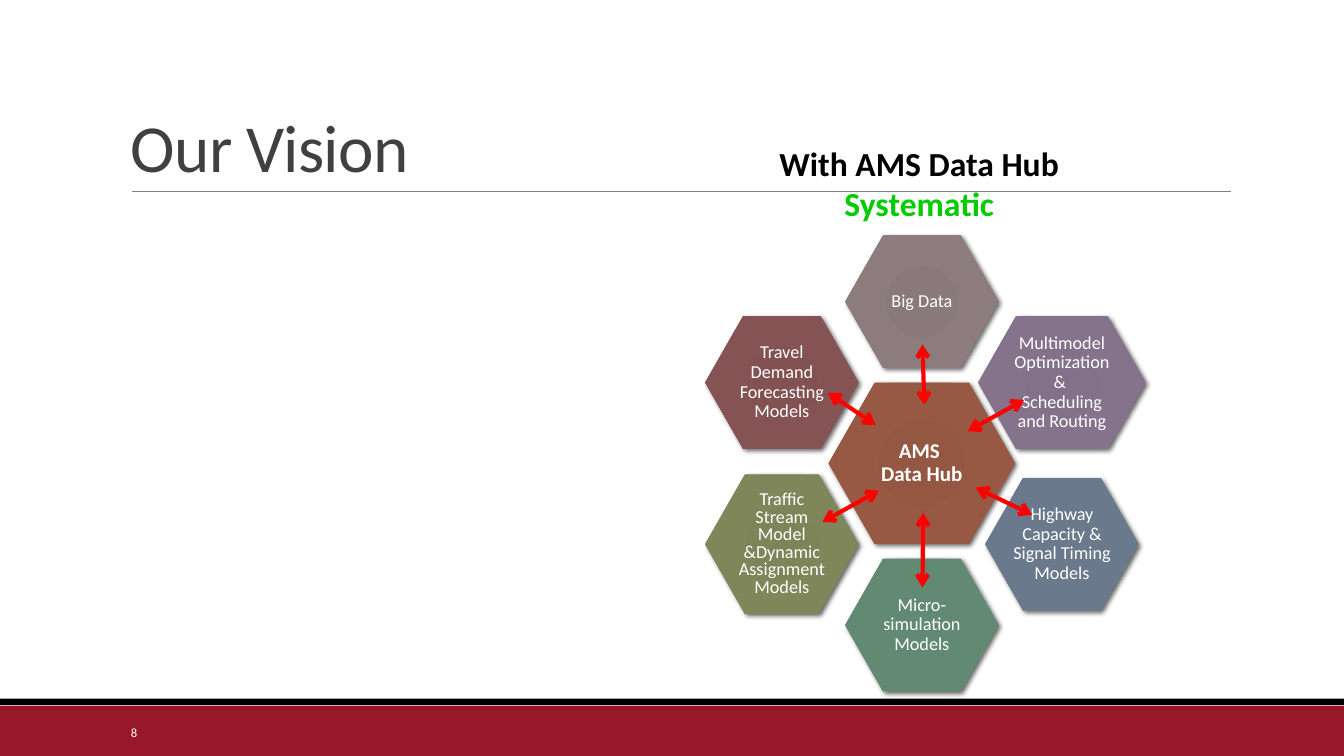
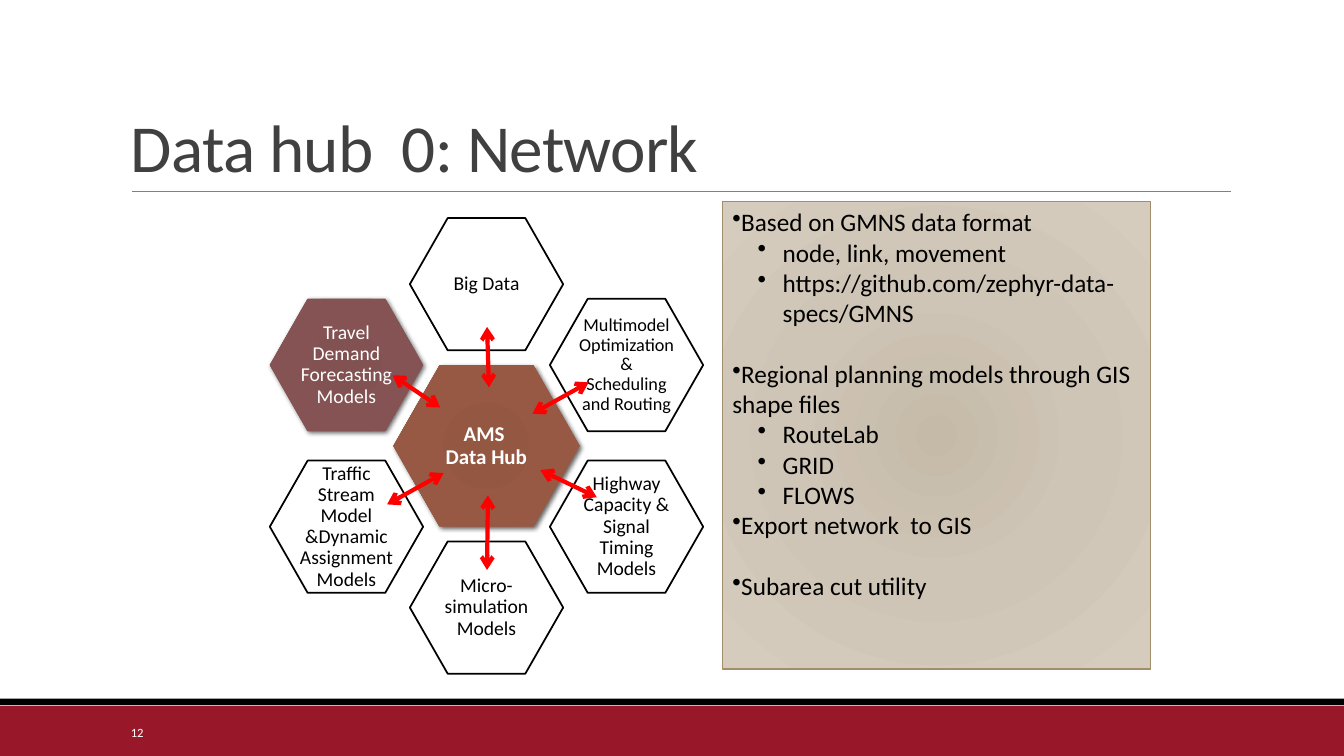
"""Build two slides about a data hub and its ring of models."""
import math

import lxml.etree
import pptx
import pptx.dml.color
import pptx.enum.shapes
import pptx.enum.text
import pptx.oxml
import pptx.oxml.ns
import pptx.util

Pt = pptx.util.Pt
RGB = pptx.dml.color.RGBColor
SHAPE = pptx.enum.shapes.MSO_SHAPE
ALIGN = pptx.enum.text.PP_ALIGN
ANCHOR = pptx.enum.text.MSO_ANCHOR
qn = pptx.oxml.ns.qn

FONT = "Calibri"
BLACK = RGB(0x00, 0x00, 0x00)
WHITE = RGB(0xFF, 0xFF, 0xFF)
CRIMSON = RGB(0x98, 0x18, 0x2A)
GRAY = RGB(0x80, 0x80, 0x80)
DARK = RGB(0x40, 0x40, 0x40)
RED = RGB(0xFF, 0x00, 0x00)
GREEN = RGB(0x00, 0xCC, 0x00)
TAN = RGB(0xA2, 0x8E, 0x6A)
SAND = [(0, RGB(0xC5, 0xBA, 0xA8)), (45, RGB(0xCF, 0xC5, 0xB6)), (100, RGB(0xD6, 0xCC, 0xBD))]
RUST = [(0, RGB(0x94, 0x57, 0x42)), (70, RGB(0x98, 0x59, 0x44)), (100, RGB(0x98, 0x60, 0x4E))]
STONE = [(0, RGB(0x89, 0x79, 0x7A)), (70, RGB(0x8C, 0x7C, 0x7D)), (100, RGB(0x92, 0x83, 0x84))]
PLUM = [(0, RGB(0x82, 0x71, 0x88)), (70, RGB(0x85, 0x73, 0x8C)), (100, RGB(0x8B, 0x7B, 0x90))]
SLATE = [(0, RGB(0x68, 0x76, 0x88)), (70, RGB(0x6A, 0x79, 0x8B)), (100, RGB(0x72, 0x7F, 0x8F))]
FERN = [(0, RGB(0x60, 0x86, 0x6E)), (70, RGB(0x62, 0x89, 0x71)), (100, RGB(0x6A, 0x8D, 0x77))]
OLIVE = [(0, RGB(0x7C, 0x84, 0x58)), (70, RGB(0x7F, 0x87, 0x5A)), (100, RGB(0x83, 0x8A, 0x62))]
WINE = [(0, RGB(0x82, 0x51, 0x51)), (70, RGB(0x85, 0x53, 0x53)), (100, RGB(0x87, 0x5B, 0x5B))]

BIG = "Big Data"
HIGHWAY = "Highway Capacity & Signal Timing Models"
MICRO = "Micro-simulation Models"
TRAFFIC = "Traffic Stream Model &Dynamic Assignment Models"
TRAVEL = "Travel Demand Forecasting Models"

RING = 115.5
HUB = (133, 115)
CELL = (109.5, 94.5)
ARROWS = [
    (-33, -27.4, -67, -50.4),
    (1.8, -41.8, 0.4, -85),
    (-30.6, 19.4, -71, 41.8),
    (1, 35.3, 0.4, 88.6),
    (73, -45.4, 32.8, -23),
    (78.8, 36.7, 38.5, 17.3),
]

VISION = [
    (BIG, STONE, CELL, 13, 0.9),
    ("Multimodel Optimization\n& \nScheduling and Routing", PLUM, (119.5, 94.5), 13, 0.9),
    (HIGHWAY, SLATE, CELL, 13, 0.9),
    (MICRO, FERN, CELL, 13, 0.9),
    (TRAFFIC, OLIVE, (109.5, 99.5), 13, 0.8),
    (TRAVEL, WINE, CELL, 13, 0.9),
]
NETWORK = [
    (BIG, None, CELL, 14, 0.9),
    ("Multimodel Optimization&\nScheduling and Routing", None, CELL, 13, 0.9),
    (HIGHWAY, None, CELL, 14, 0.9),
    (MICRO, None, CELL, 14, 0.9),
    (TRAFFIC, None, CELL, 14, 0.9),
    (TRAVEL, WINE, CELL, 14, 0.9),
]
NOTES = [
    (0, 0, "Based on GMNS data format"),
    (1, 0, "node, link, movement"),
    (1, 0, "https://github.com/zephyr-data-specs/GMNS"),
    (0, 22, "Regional planning models through GIS shape files"),
    (1, 0, "RouteLab"),
    (1, 0, "GRID"),
    (1, 0, "FLOWS"),
    (0, 0, "Export network  to GIS"),
    (0, 22, "Subarea cut utility"),
]


def style(para, size, color, bold=False):
    """Format every run of a paragraph."""
    for run in para.runs:
        run.font.name = FONT
        run.font.size = Pt(size)
        run.font.bold = bold
        run.font.color.rgb = color


def add_form(slide, kind, box, fill):
    """Add a plain shape with a solid fill and no outline."""
    form = slide.shapes.add_shape(kind, *map(Pt, box))
    form.shadow.inherit = False
    form.fill.solid()
    form.fill.fore_color.rgb = fill
    form.line.fill.background()
    return form


def add_text(slide, box, text, size, color, anchor=ANCHOR.TOP):
    """Add a wrapped text box and return its frame."""
    frame = slide.shapes.add_textbox(*map(Pt, box)).text_frame
    frame.word_wrap = True
    frame.vertical_anchor = anchor
    frame.text = text
    style(frame.paragraphs[0], size, color)
    return frame


def blend(form, stops):
    """Replace a solid fill by a round gradient."""
    tint = "".join(
        f'<a:gs pos="{spot * 1000}"><a:srgbClr val="{color}"/></a:gs>' for spot, color in stops
    )
    grad = pptx.oxml.parse_xml(
        f'<a:gradFill {pptx.oxml.ns.nsdecls("a")} rotWithShape="1"><a:gsLst>{tint}</a:gsLst>'
        '<a:path path="circle"><a:fillToRect l="100000" t="100000" r="100000" b="100000"/>'
        "</a:path></a:gradFill>"
    )
    props = form.element.spPr
    props.replace(props.find(qn("a:solidFill")), grad)


def shade(form):
    """Give a shape a soft shadow to the lower right."""
    holder = form.element.spPr.find(qn("a:effectLst"))
    holder.append(pptx.oxml.parse_xml(
        f'<a:outerShdw {pptx.oxml.ns.nsdecls("a")} blurRad="44450" dist="25400" dir="2700000">'
        '<a:srgbClr val="000000"><a:alpha val="60000"/></a:srgbClr></a:outerShdw>'
    ))


def add_line(slide, ends, color, width):
    """Add a straight line without a shadow."""
    line = slide.shapes.add_connector(pptx.enum.shapes.MSO_CONNECTOR.STRAIGHT, *map(Pt, ends))
    line.line.color.rgb = color
    line.line.width = Pt(width)
    lxml.etree.SubElement(line.element.spPr, qn("a:effectLst"))
    return line


def add_arrow(slide, ends):
    """Add a red arrow with two heads."""
    line = add_line(slide, ends, RED, 3)
    stroke = line.element.spPr.find(qn("a:ln"))
    for tag in ("a:headEnd", "a:tailEnd"):
        lxml.etree.SubElement(stroke, qn(tag), type="arrow")


def add_cell(slide, mid, text, stops, area, size, gap, bold=False):
    """Add a hexagon with its label, centred on a point."""
    wide, high = area
    box = (mid[0] - wide / 2, mid[1] - high / 2, wide, high)
    cell = add_form(slide, SHAPE.HEXAGON, box, WHITE)
    cell.adjustments[0] = 0.286
    if stops:
        blend(cell, stops)
        shade(cell)
    else:
        cell.line.color.rgb = BLACK
        cell.line.width = Pt(1.25)
    frame = cell.text_frame
    frame.word_wrap = True
    frame.vertical_anchor = ANCHOR.MIDDLE
    frame.margin_left = frame.margin_right = Pt(1.5)
    frame.margin_top = frame.margin_bottom = Pt(1.5)
    frame.text = text
    for para in frame.paragraphs:
        para.alignment = ALIGN.CENTER
        para.line_spacing = gap
        style(para, size, WHITE if stops else BLACK, bold)


def add_hub(slide, box, cells):
    """Add the hub, its ring of cells and the arrows between them."""
    left, top, wide, high = box
    x, y = left + wide / 2, top + high / 2
    add_cell(slide, (x, y), "AMS \vData Hub", RUST, HUB, 15, 0.9, True)
    for step, cell in enumerate(cells):
        turn = math.radians(60 * step)
        add_cell(slide, (x + RING * math.sin(turn), y - RING * math.cos(turn)), *cell)
    for x1, y1, x2, y2 in ARROWS:
        add_arrow(slide, (x + x1, y + y1, x + x2, y + y2))


def add_notes(slide, box):
    """Add the sand panel with its bulleted notes."""
    panel = add_form(slide, SHAPE.RECTANGLE, box, WHITE)
    blend(panel, SAND)
    panel.line.color.rgb = TAN
    panel.line.width = Pt(1)
    frame = panel.text_frame
    frame.word_wrap = True
    frame.vertical_anchor = ANCHOR.TOP
    frame.text = "\n".join(text for level, gap, text in NOTES)
    for para, (level, gap, text) in zip(frame.paragraphs, NOTES):
        para.alignment = ALIGN.LEFT
        para.level = level
        if gap:
            para.space_before = Pt(gap)
        props = para._p.get_or_add_pPr()
        props.set("marL", str(Pt(36 * level)))
        props.set("indent", str(Pt(-18 * level)))
        lxml.etree.SubElement(props, qn("a:buChar"), char="•")
        style(para, 18, BLACK)


def add_head(slide, box):
    """Add the two-line heading above the hub."""
    frame = add_text(slide, box, "With AMS Data Hub\v", 24, BLACK)
    frame.margin_left = frame.margin_right = 0
    frame.margin_top = frame.margin_bottom = 0
    para = frame.paragraphs[0]
    para.alignment = ALIGN.CENTER
    para.add_run().text = "Systematic"
    style(para, 24, BLACK, True)
    para.runs[-1].font.color.rgb = GREEN


def add_page(deck, title, number):
    """Add a blank slide with its bands, rule, title and number."""
    slide = deck.slides.add_slide(deck.slide_layouts[6])
    add_form(slide, SHAPE.RECTANGLE, (0, 504, 960, 36), CRIMSON)
    add_form(slide, SHAPE.RECTANGLE, (0, 499, 960, 4.6), BLACK)
    add_line(slide, (94.3, 136.8, 879, 136.8), GRAY, 0.5)
    frame = add_text(slide, (86.4, 22.3, 792, 114.5), title, 48, DARK, ANCHOR.BOTTOM)
    para = frame.paragraphs[0]
    para.line_spacing = 0.85
    para.runs[0].font._element.set("spc", "-50")
    add_text(slide, (86.4, 508.5, 194.4, 28.8), number, 9, WHITE, ANCHOR.MIDDLE)
    return slide


def main():
    """Build and save the deck."""
    deck = pptx.Presentation()
    deck.slide_width, deck.slide_height = Pt(960), Pt(540)
    slide = add_page(deck, "Our Vision", "8")
    add_hub(slide, (503.5, 168, 310, 326), VISION)
    add_head(slide, (494.6, 102.2, 324, 99.4))
    slide = add_page(deck, "Data hub  0: Network", "12")
    add_hub(slide, (192.5, 155.5, 310, 326), NETWORK)
    add_notes(slide, (516, 144, 306, 334))
    deck.save("out.pptx")


if __name__ == "__main__":
    main()
